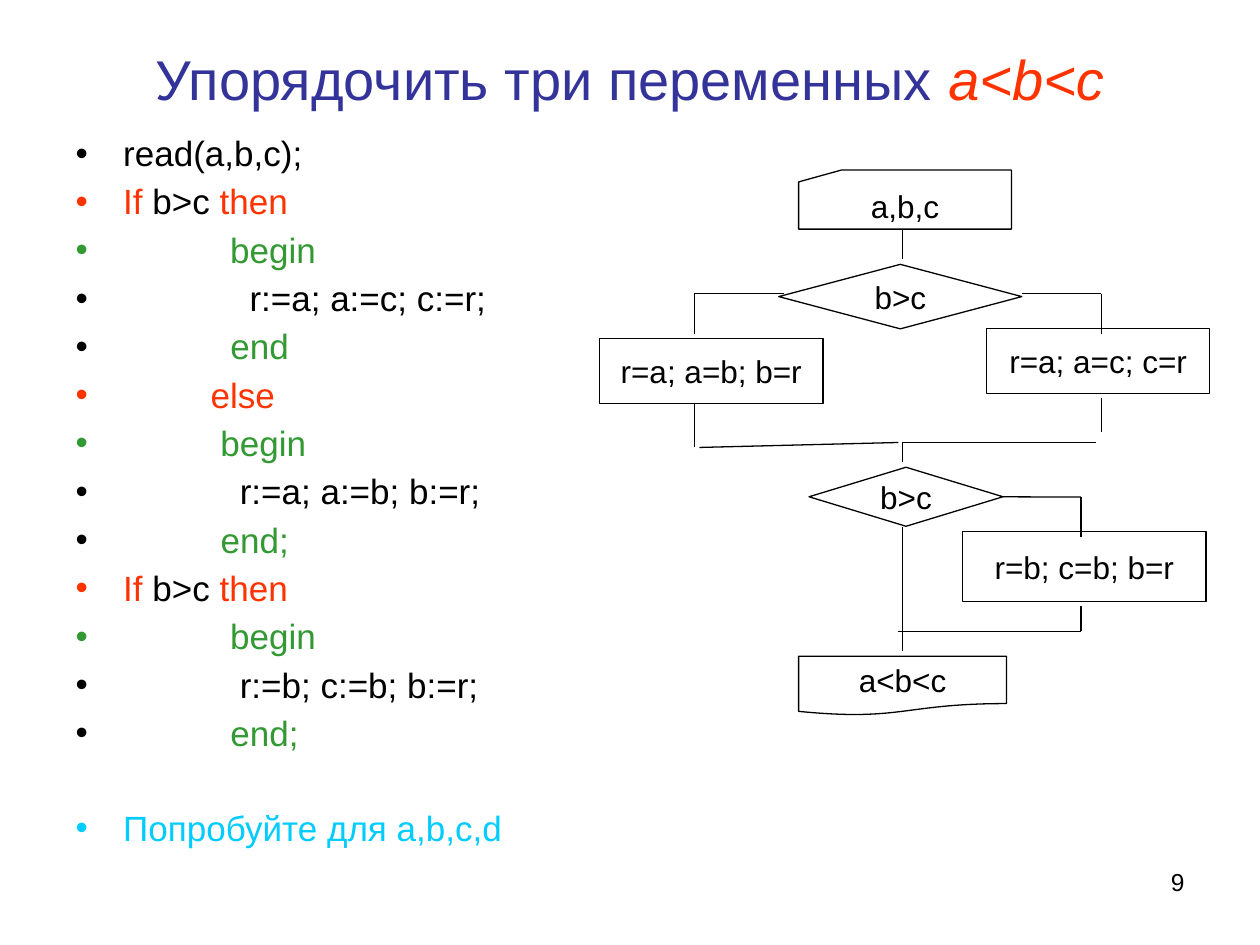
from itertools import pairwise

from lxml import etree
from pptx import Presentation
from pptx import util as u
from pptx.dml.color import RGBColor
from pptx.enum import shapes, text
from pptx.oxml import ns

BLACK = RGBColor(0x00, 0x00, 0x00)
NAVY = RGBColor(0x33, 0x33, 0x99)
RED = RGBColor(0xFF, 0x33, 0x00)
GREEN = RGBColor(0x33, 0x99, 0x33)
CYAN = RGBColor(0x00, 0xCC, 0xFF)
FONT = "Arial"
LINE_WIDTH = u.Pt(0.75)
HANGING = u.Cm(0.96)

CODE_LINES = [
    [("read(a,b,c);", BLACK)],
    [("If", RED), (" b>c ", BLACK), ("then", RED)],
    [("           begin", GREEN)],
    [("             r:=a; a:=c; c:=r;", BLACK)],
    [("           ", BLACK), ("end", GREEN)],
    [("         else", RED)],
    [("          begin", GREEN)],
    [("            r:=a; a:=b; b:=r;", BLACK)],
    [("          ", BLACK), ("end;", GREEN)],
    [("If ", RED), ("b>c ", BLACK), ("then", RED)],
    [("           begin", GREEN)],
    [("            r:=b; c:=b; b:=r;", BLACK)],
    [("           ", BLACK), ("end;", GREEN)],
]
EXERCISE = [("Попробуйте для a,b,c,d", CYAN)]

SHAPE = shapes.MSO_SHAPE
FLOW_NODES = {
    "input": (SHAPE.FLOWCHART_CARD, "a,b,c", 16.1, 3.43, 4.29, 1.19),
    "first test": (SHAPE.FLOWCHART_DECISION, "b>c", 15.7, 5.33, 4.9, 1.3),
    "swap a and c": (SHAPE.FLOWCHART_PROCESS, "r=a; a=c; c=r", 19.89, 6.63, 4.5, 1.3),
    "swap a and b": (SHAPE.FLOWCHART_PROCESS, "r=a; a=b; b=r", 12.09, 6.83, 4.5, 1.3),
    "second test": (SHAPE.FLOWCHART_DECISION, "b>c", 16.31, 9.42, 3.91, 1.19),
    "swap b and c": (SHAPE.FLOWCHART_PROCESS, "r=b; c=b; b=r", 19.41, 10.72, 4.9, 1.4),
    "output": (SHAPE.FLOWCHART_DOCUMENT, "a<b<c", 16.1, 13.23, 4.19, 1.19),
}

AXIS_X, LEFT_X, RIGHT_X, LOOP_X = 18.19, 14, 22.2, 21.79
FLOW_ROUTES = [
    [(AXIS_X, 4.62), (AXIS_X, 5.23)],
    [(20.6, 5.92), (RIGHT_X, 5.92), (RIGHT_X, 6.73)],
    [(15.8, 5.92), (LEFT_X, 5.92), (LEFT_X, 6.73)],
    [(RIGHT_X, 8.03), (RIGHT_X, 8.71)],
    [(LEFT_X, 8.13), (LEFT_X, 9.02)],
    [(18.11, 8.92), (14.1, 9.02)],
    [(22.1, 8.92), (AXIS_X, 8.92), (AXIS_X, 9.32)],
    [(LOOP_X, 10.02), (LOOP_X, 10.82)],
    [(LOOP_X, 12.22), (LOOP_X, 12.73), (18.11, 12.73)],
    [(AXIS_X, 10.62), (AXIS_X, 13.13)],
]


def place(shape, left, top, width, height):
    shape.left, shape.top = u.Cm(left), u.Cm(top)
    shape.width, shape.height = u.Cm(width), u.Cm(height)


def add_run(paragraph, words, size, color, italic=None):
    run = paragraph.add_run()
    run.text = words
    run.font.name = FONT
    run.font.size = u.Pt(size)
    run.font.italic = italic
    run.font.color.rgb = color


def add_bullet(paragraph, color):
    properties = paragraph._p.get_or_add_pPr()
    properties.set("marL", str(HANGING))
    properties.set("indent", str(-HANGING))
    bullet_color = etree.SubElement(properties, ns.qn("a:buClr"))
    etree.SubElement(bullet_color, ns.qn("a:srgbClr")).set("val", str(color))
    etree.SubElement(properties, ns.qn("a:buChar")).set("char", "•")


def fill_title(title):
    place(title, 1.27, 0.76, 22.86, 1.65)
    frame = title.text_frame
    frame.auto_size = text.MSO_AUTO_SIZE.NONE
    frame.vertical_anchor = text.MSO_ANCHOR.MIDDLE
    paragraph = frame.paragraphs[0]
    paragraph.alignment = text.PP_ALIGN.CENTER
    add_run(paragraph, "Упорядочить три переменных ", 32, NAVY)
    add_run(paragraph, "a<b<c", 32, RED, italic=True)


def add_list_line(paragraph, runs, space_before):
    add_bullet(paragraph, runs[0][1])
    paragraph.line_spacing = 0.9
    paragraph.space_before = u.Pt(space_before)
    for words, color in runs:
        add_run(paragraph, words, 20, color)


def fill_code(body):
    place(body, 1.27, 2.62, 10.82, 14.4)
    frame = body.text_frame
    frame.auto_size = text.MSO_AUTO_SIZE.NONE
    add_list_line(frame.paragraphs[0], CODE_LINES[0], 0)
    for runs in CODE_LINES[1:]:
        add_list_line(frame.add_paragraph(), runs, 6)
    add_list_line(frame.add_paragraph(), EXERCISE, 32.5)


def add_node(slide, kind, words, left, top, width, height):
    shape = slide.shapes.add_shape(
        kind, u.Cm(left), u.Cm(top), u.Cm(width), u.Cm(height)
    )
    shape.shadow.inherit = False
    shape.fill.background()
    shape.line.color.rgb = BLACK
    shape.line.width = LINE_WIDTH
    frame = shape.text_frame
    frame.word_wrap = False
    frame.vertical_anchor = text.MSO_ANCHOR.MIDDLE
    paragraph = frame.paragraphs[0]
    paragraph.alignment = text.PP_ALIGN.CENTER
    add_run(paragraph, words, 18, BLACK)
    return shape


def add_line(slide, start, end):
    connector = slide.shapes.add_connector(
        shapes.MSO_CONNECTOR.STRAIGHT, *(u.Cm(value) for value in start + end)
    )
    connector.line.color.rgb = BLACK
    connector.line.width = LINE_WIDTH
    etree.SubElement(connector._element.spPr, ns.qn("a:effectLst"))
    return connector


def add_flowchart(slide):
    nodes = {name: add_node(slide, *node) for name, node in FLOW_NODES.items()}
    for route in FLOW_ROUTES:
        for start, end in pairwise(route):
            add_line(slide, start, end)
    branch = add_line(slide, (20.22, 10.02), (LOOP_X, 10.02))
    branch.begin_connect(nodes["second test"], 3)


def add_page_number(slide):
    box = slide.shapes.add_textbox(u.Cm(18.21), u.Cm(17.35), u.Cm(5.92), u.Cm(1.32))
    box.text_frame.word_wrap = True
    paragraph = box.text_frame.paragraphs[0]
    paragraph.alignment = text.PP_ALIGN.RIGHT
    add_run(paragraph, "9", 14, BLACK)


def main():
    presentation = Presentation()
    presentation.slide_width = u.Cm(25.4)
    presentation.slide_height = u.Cm(19.05)
    slide = presentation.slides.add_slide(presentation.slide_layouts[1])
    fill_title(slide.shapes.title)
    fill_code(slide.placeholders[1])
    add_flowchart(slide)
    add_page_number(slide)
    presentation.save("out.pptx")


if __name__ == "__main__":
    main()
